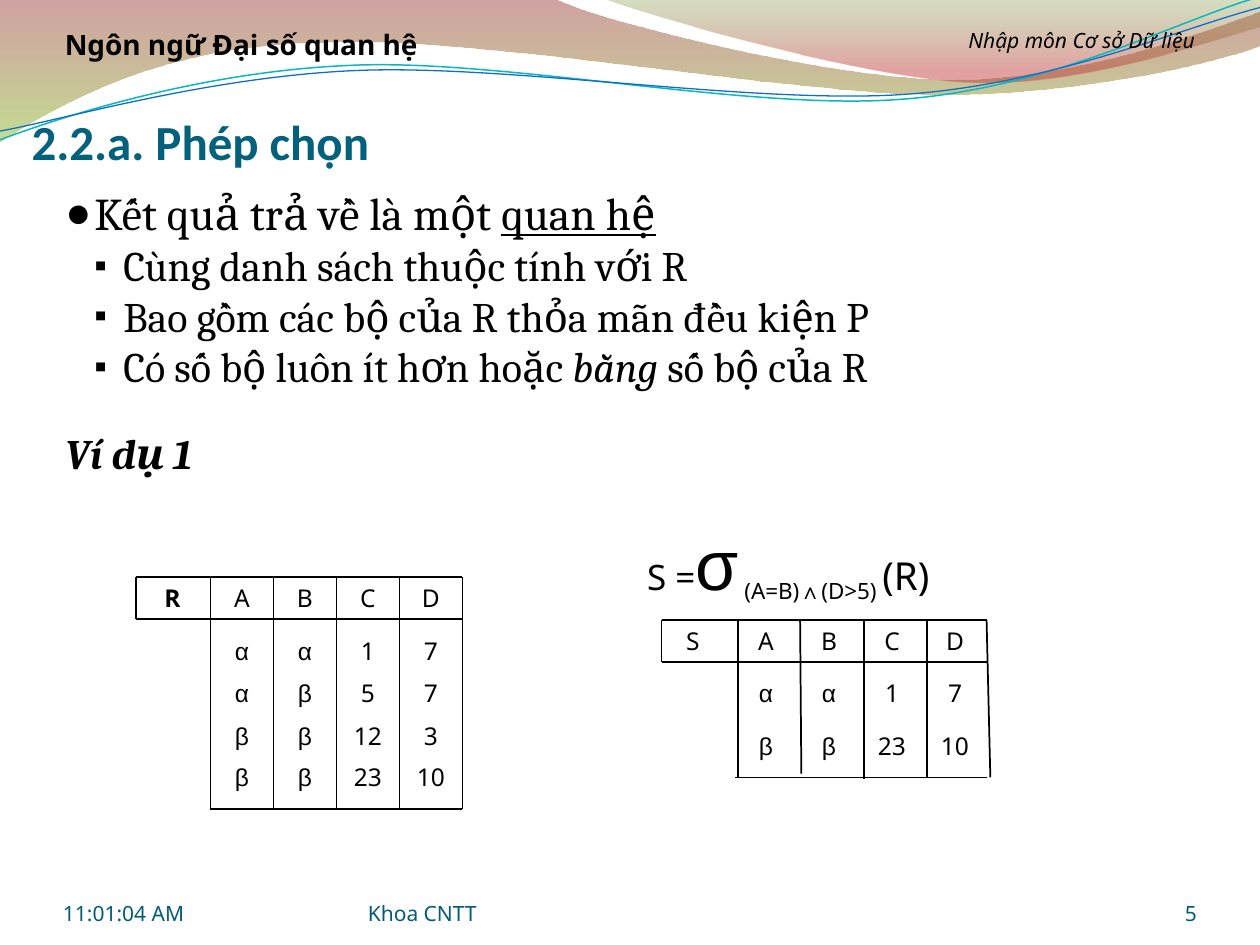
from dataclasses import dataclass
from typing import NamedTuple, Optional

from lxml.etree import SubElement
from pptx import Presentation
from pptx.dml.color import RGBColor
from pptx.enum.shapes import MSO_CONNECTOR as Connector
from pptx.enum.text import MSO_ANCHOR as Anchor, PP_ALIGN as Align
from pptx.oxml.ns import qn
from pptx.util import Inches, Pt

BLACK = RGBColor(0x00, 0x00, 0x00)
TITLE_TEAL = RGBColor(0x04, 0x61, 0x7B)
FOOTER_TEAL = RGBColor(0x03, 0x5C, 0x75)
WAVE_CYAN = RGBColor(0x09, 0xB7, 0xBF)
WAVE_BLUE = RGBColor(0x0F, 0x6F, 0xC6)
RED_DARK = RGBColor(0x97, 0x33, 0x30)
RED = RGBColor(0xBE, 0x33, 0x30)
GREEN = RGBColor(0x95, 0xC2, 0x38)
GREEN_DARK = RGBColor(0x76, 0x95, 0x37)

SANS, SERIF, GREEK = "Noto Sans", "Cambria", "Arial"
COLUMN, HEADER_HEIGHT = 0.5, 0.33


class Words(NamedTuple):
    text: str
    size: float
    font: str = SANS
    color: RGBColor = BLACK
    bold: bool = False
    italic: bool = False
    underline: bool = False
    baseline: int = 0


class Stop(NamedTuple):
    position: float
    color: RGBColor
    opacity: int


@dataclass
class Wave:
    start: tuple
    segments: list  # 2 numbers: a line; 6 numbers: a cubic curve
    stops: tuple = ()
    line: Optional[RGBColor] = None
    line_width: float = 0


@dataclass
class Label:
    box: tuple
    words: list
    align: Align = Align.LEFT
    anchor: Anchor = Anchor.TOP
    insets: tuple = (0.1, 0.05, 0.1, 0.05)


@dataclass
class Relation:
    left: float
    top: float
    bottom: float
    first_column: float
    name: Words
    name_width: float
    rows: dict  # top of each row and its values
    rules: list  # upper x, lower x and lower y of each vertical rule


WAVES = [
    Wave((0, -0.01), [(4.4, -0.01), (4.76, 0.17, 6.63, 0.63, 7.58, 0.63),
                      (8.53, 0.63, 9.58, 0.25, 10, 0.09), (10.01, 0.36),
                      (9.83, 0.44, 8.7, 0.75, 7.46, 0.75), (6.22, 0.75, 3.82, 0.28, 2.57, 0.34),
                      (1.29, 0.35, 0.46, 0.83, -0.01, 1.13)],
         stops=(Stop(0, RED_DARK, 45), Stop(1, GREEN, 55))),
    Wave((4.79, -0.01), [(5.09, 0.11, 6.82, 0.61, 7.69, 0.65),
                         (8.55, 0.69, 9.61, 0.32, 10, 0.21), (10, 0)],
         stops=(Stop(0, GREEN_DARK, 30), Stop(0.8, RED, 45))),
    Wave((0, 1.11), [(0.48, 0.93, 1.58, 0.57, 2.77, 0.52), (3.95, 0.46, 5.93, 0.88, 7.13, 0.79),
                     (8.33, 0.71, 9.38, 0.15, 9.98, -0.02)], line=WAVE_CYAN, line_width=0.85),
    Wave((0, 1.04), [(0.47, 0.96, 1.64, 0.61, 2.83, 0.56), (4.03, 0.51, 5.97, 0.83, 7.17, 0.75),
                     (8.36, 0.67, 9.41, 0.21, 10, 0.06)], line=WAVE_BLUE, line_width=0.74),
]

FOOTER = dict(anchor=Anchor.BOTTOM, insets=(0, 0, 0, 0))
LABELS = [
    Label((0.25, 0.17, 3.33, 0.36), [Words("Ngôn ngữ Đại số quan hệ", 16, bold=True)], Align.CENTER),
    Label((7.17, 0.17, 2.83, 0.3), [Words("Nhập môn Cơ sở Dữ liệu", 12, italic=True)], Align.CENTER),
    Label((4.67, 4.08, 3.25, 0.76),
          [Words("S =", 20), Words("σ", 40, GREEK), Words(" (A=B)", 22, baseline=-25),
           Words("∧", 22, GREEK, bold=True, baseline=-25), Words("(D>5) ", 22, baseline=-25),
           Words("(R) ", 22)], Align.CENTER),
    Label((0.5, 6.95, 2.33, 0.4), [Words("11:01:04 AM", 12, color=FOOTER_TEAL)], **FOOTER),
    Label((2.92, 6.95, 3.66, 0.4), [Words("Khoa CNTT", 12, color=FOOTER_TEAL)], **FOOTER),
    Label((8.67, 6.95, 0.83, 0.4), [Words("5", 12, color=FOOTER_TEAL)], Align.RIGHT, **FOOTER),
]

LAST_ROW = ("β", "β", "23", "10")
RELATIONS = [
    Relation(1.08, 4.58, 6.42, 1.67, Words("R", 14, bold=True), 0.58,
             {5: "αα17", 5.33: "αβ57", 5.67: ("β", "β", "12", "3"), 6: LAST_ROW},
             [(1.67 + COLUMN * i, 1.67 + COLUMN * i, 6.42) for i in range(5)]),
    Relation(5.25, 4.92, 6.17, 5.83, Words("S", 14), 0.5, {5.33: "αα17", 5.75: LAST_ROW},
             [(5.86, 5.86, 6.17), (6.35, 6.36, 6.14), (6.86, 6.86, 6.18),
              (7.36, 7.36, 6.17), (7.83, 7.86, 6.17)]),
]

BULLETS = [
    (0, [Words("Kết quả trả về là một ", 26, SERIF), Words("quan hệ", 26, SERIF, underline=True)]),
    (1, [Words("Cùng danh sách thuộc tính với R", 24, SERIF)]),
    (1, [Words("Bao gồm các bộ của R thỏa mãn đều kiện P", 24, SERIF)]),
    (1, [Words("Có số bộ luôn ít hơn hoặc ", 24, SERIF), Words("bằng", 24, SERIF, italic=True),
         Words(" số bộ của R", 24, SERIF)]),
]


def write(paragraph, words: list) -> None:
    for item in words:
        run = paragraph.add_run()
        run.text = item.text
        font = run.font
        font.size, font.name, font.color.rgb = Pt(item.size), item.font, item.color
        font.bold, font.italic, font.underline = item.bold, item.italic, item.underline
        if item.baseline:
            font._element.set("baseline", str(item.baseline * 1000))


def set_frame(frame, insets: tuple, anchor: Anchor) -> None:
    frame.word_wrap, frame.vertical_anchor = True, anchor
    frame.margin_left, frame.margin_top, frame.margin_right, frame.margin_bottom = map(Inches, insets)


def add_label(slide, label: Label) -> None:
    frame = slide.shapes.add_textbox(*map(Inches, label.box)).text_frame
    set_frame(frame, label.insets, label.anchor)
    frame.paragraphs[0].alignment = label.align
    write(frame.paragraphs[0], label.words)


def add_wave(slide, wave: Wave) -> None:
    points = [(Inches(s[i]), Inches(s[i + 1])) for s in wave.segments for i in range(0, len(s), 2)]
    builder = slide.shapes.build_freeform(*map(Inches, wave.start))
    builder.add_line_segments(points, close=bool(wave.stops))
    shape = builder.convert_to_shape()
    # Join each three points of a curve into one cubic segment
    steps = iter(list(shape._element.iter(qn("a:lnTo"))))
    for segment in wave.segments:
        step = next(steps)
        if len(segment) == 6:
            step.tag = qn("a:cubicBezTo")
            for other in (next(steps), next(steps)):
                step.append(other[0])
                other.getparent().remove(other)
    shape.shadow.inherit = False
    if wave.line is not None:
        shape.fill.background()
        shape.line.color.rgb, shape.line.width = wave.line, Pt(wave.line_width)
        return
    shape.line.fill.background()
    shape.fill.gradient()
    shape.fill.gradient_angle = 270
    for gradient_stop, stop in zip(shape.fill.gradient_stops, wave.stops):
        gradient_stop.position, gradient_stop.color.rgb = stop.position, stop.color
    for color, stop in zip(shape._element.spPr.iter(qn("a:srgbClr")), wave.stops):
        SubElement(color, qn("a:alpha")).set("val", str(stop.opacity * 1000))


def add_rule(slide, *ends: float) -> None:
    rule = slide.shapes.add_connector(Connector.STRAIGHT, *map(Inches, ends))
    rule.line.color.rgb, rule.line.width = BLACK, Pt(0.99)
    SubElement(rule._element.spPr, qn("a:effectLst"))


def add_relation(slide, relation: Relation) -> None:
    left, top, first = relation.left, relation.top, relation.first_column
    right, header_bottom = first + 4 * COLUMN, top + HEADER_HEIGHT + 0.005
    add_label(slide, Label((left, top, relation.name_width, HEADER_HEIGHT), [relation.name], Align.CENTER))
    for row_top, values in {top: "ABCD", **relation.rows}.items():
        for index, value in enumerate(values):
            words = Words(value, 14, GREEK if value in "αβ" else SANS)
            box = (first + index * COLUMN, row_top, COLUMN, HEADER_HEIGHT)
            add_label(slide, Label(box, [words], Align.CENTER))
    for start, y in ((left, top), (left, header_bottom), (first, relation.bottom)):
        add_rule(slide, start, y, right, y)
    add_rule(slide, left, top, left, header_bottom)
    for upper_x, lower_x, lower_y in relation.rules:
        add_rule(slide, upper_x, top, lower_x, lower_y)


def add_body(slide) -> None:
    frame = slide.shapes.add_textbox(*map(Inches, (0.42, 1.42, 9.08, 5.58))).text_frame
    set_frame(frame, (0.1, 0.05, 0.1, 0.05), Anchor.TOP)
    for index, (level, words) in enumerate(BULLETS):
        paragraph = frame.paragraphs[0] if index == 0 else frame.add_paragraph()
        paragraph.level = level
        properties = paragraph._p.get_or_add_pPr()
        properties.set("marL", str(Inches(0.23 * (level + 1))))
        properties.set("indent", str(Inches(-0.23)))
        SubElement(properties, qn("a:buSzPct"), val=("95000", "85000")[level])
        SubElement(properties, qn("a:buFont"), typeface=GREEK)
        SubElement(properties, qn("a:buChar"), char="●▪"[level])
        write(paragraph, words)
    example = frame.add_paragraph()
    example.space_before = Pt(21)
    write(example, [Words("Ví dụ 1", 24, SERIF, bold=True, italic=True)])


presentation = Presentation()
presentation.slide_width, presentation.slide_height = Inches(10), Inches(7.5)
slide = presentation.slides.add_slide(presentation.slide_layouts[5])

# Decorative header
for wave in WAVES:
    add_wave(slide, wave)

# Title
title = slide.shapes.title
title.left, title.top, title.width, title.height = map(Inches, (0.25, 0.67, 9, 0.68))
set_frame(title.text_frame, (0, 0.05, 0, 0), Anchor.BOTTOM)
title.text_frame.paragraphs[0].alignment = Align.LEFT
write(title.text_frame.paragraphs[0], [Words("2.2.a. Phép chọn", 28, "Calibri", TITLE_TEAL, bold=True)])

# Body, labels and relations
add_body(slide)
for label in LABELS:
    add_label(slide, label)
for relation in RELATIONS:
    add_relation(slide, relation)

presentation.save("out.pptx")
